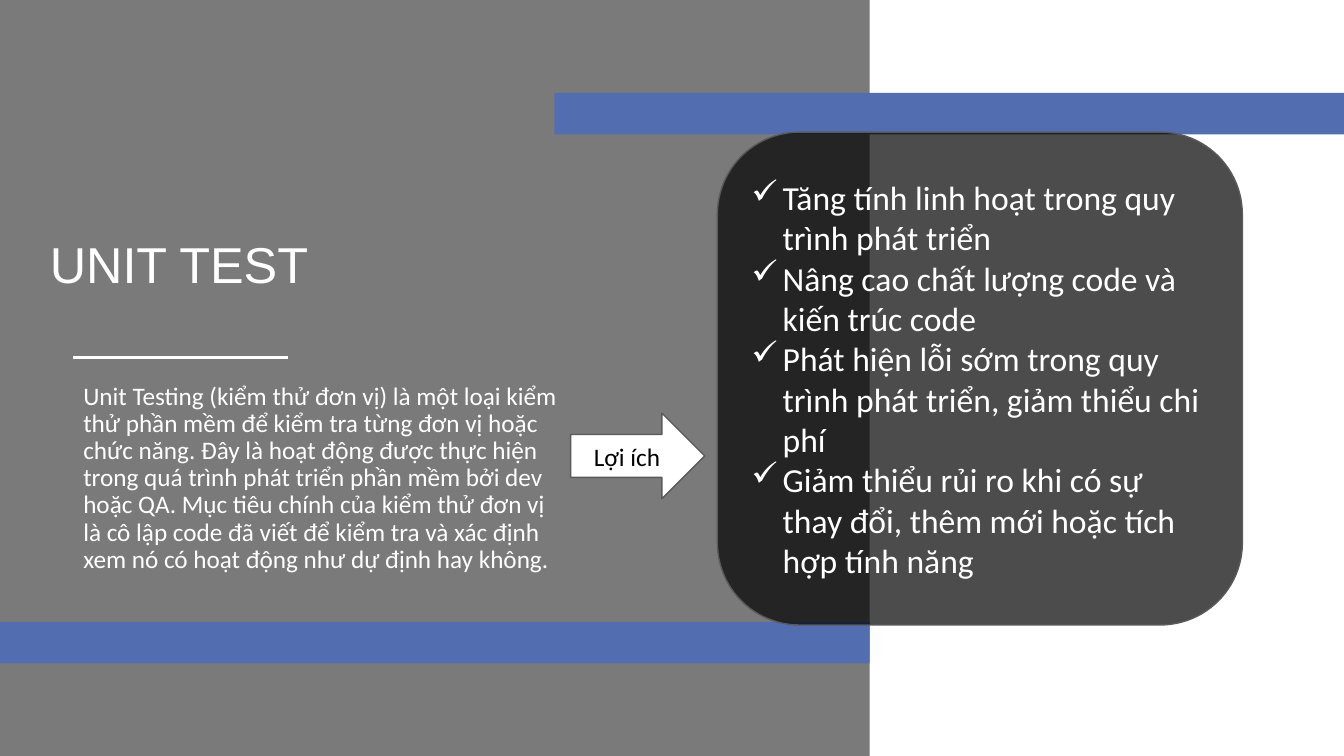
import lxml.etree
import pptx
import pptx.dml.color
import pptx.enum.shapes
import pptx.enum.text
import pptx.oxml.ns
import pptx.util

Cm = pptx.util.Cm
Pt = pptx.util.Pt
RGBColor = pptx.dml.color.RGBColor
Shape = pptx.enum.shapes.MSO_SHAPE
Align = pptx.enum.text.PP_ALIGN
Anchor = pptx.enum.text.MSO_ANCHOR
qn = pptx.oxml.ns.qn

WHITE = RGBColor(0xFF, 0xFF, 0xFF)
BLACK = RGBColor(0x00, 0x00, 0x00)
GRAY = RGBColor(0x7A, 0x7A, 0x7A)
BLUE = RGBColor(0x52, 0x6D, 0xB0)
EDGE = RGBColor(0x5A, 0x5A, 0x5A)

WIDE, HIGH = 33.87, 19.05
PANEL = 21.92

ABOUT = (
    "Unit Testing (kiểm thử đơn vị) là một loại kiểm thử phần mềm để kiểm tra "
    "từng đơn vị hoặc chức năng. Đây là hoạt động được thực hiện trong quá trình "
    "phát triển phần mềm bởi dev hoặc QA. Mục tiêu chính của kiểm thử đơn vị là "
    "cô lập code đã viết để kiểm tra và xác định xem nó có hoạt động như dự định "
    "hay không."
)
GAINS = [
    "Tăng tính linh hoạt trong quy trình phát triển",
    "Nâng cao chất lượng code và kiến trúc code",
    "Phát hiện lỗi sớm trong quy trình phát triển, giảm thiểu chi phí",
    "Giảm thiểu rủi ro khi có sự thay đổi, thêm mới hoặc tích hợp tính năng",
]


class Deck:
    """Hold the text style and the current slide."""

    def __init__(self):
        """Start a wide deck with one title-only slide."""
        self.file = pptx.Presentation()
        self.file.slide_width = Cm(WIDE)
        self.file.slide_height = Cm(HIGH)
        self.slide = self.file.slides.add_slide(self.file.slide_layouts[5])
        self.font = "Calibri"

    def label(self, shape, lines, size, color, align, face=None, mark=None, space=1.0):
        """Fill a shape with styled paragraphs."""
        frame = shape.text_frame
        frame.word_wrap = True
        frame.vertical_anchor = Anchor.MIDDLE
        frame.text = "\n".join(lines)
        for para in frame.paragraphs:
            if mark:
                props = para._p.get_or_add_pPr()
                props.set("marL", str(Cm(0.79)))
                props.set("indent", str(-Cm(0.79)))
                lxml.etree.SubElement(props, qn("a:buChar")).set("char", mark)
            para.alignment = align
            para.line_spacing = space
            para.space_before = Pt(0)
            for run in para.runs:
                run.font.name = face or self.font
                run.font.size = Pt(size)
                run.font.color.rgb = color

    def shape(self, kind, left, top, width, height, fill, edge=None, alpha=None):
        """Add a preset shape."""
        item = self.slide.shapes.add_shape(kind, Cm(left), Cm(top), Cm(width), Cm(height))
        item.shadow.inherit = False
        item.fill.solid()
        item.fill.fore_color.rgb = fill
        if alpha:
            color = item._element.spPr.find(qn("a:solidFill") + "/" + qn("a:srgbClr"))
            lxml.etree.SubElement(color, qn("a:alpha")).set("val", str(alpha * 1000))
        if edge:
            item.line.color.rgb = edge
            item.line.width = Pt(1)
        else:
            item.line.fill.background()
        return item

    def title(self, text, left, top, width, height):
        """Place the title in front of the shapes drawn so far."""
        item = self.slide.shapes.title
        item._element.getparent().append(item._element)
        item.left, item.top = Cm(left), Cm(top)
        item.width, item.height = Cm(width), Cm(height)
        self.label(item, [text], 36, WHITE, Align.LEFT, face="Arial")

    def text(self, text, left, top, width, height):
        """Add a box of running text."""
        item = self.slide.shapes.add_textbox(Cm(left), Cm(top), Cm(width), Cm(height))
        self.label(item, [text], 18, WHITE, Align.LEFT, space=0.9)

    def rule(self, left, right, top):
        """Add a level white line."""
        item = self.slide.shapes.add_connector(
            pptx.enum.shapes.MSO_CONNECTOR.STRAIGHT, Cm(left), Cm(top), Cm(right), Cm(top)
        )
        item.line.color.rgb = WHITE
        item.line.width = Pt(2.25)
        lxml.etree.SubElement(item._element.spPr, qn("a:effectLst"))


def main():
    """Build the unit test slide."""
    deck = Deck()
    deck.shape(Shape.RECTANGLE, 0, 0, PANEL, HIGH, GRAY)
    deck.shape(Shape.RECTANGLE, 0, 15.67, PANEL, 1.05, BLUE)
    deck.shape(Shape.RECTANGLE, 13.97, 2.34, WIDE - 13.97, 1.05, BLUE)
    deck.text(ABOUT, 1.85, 11.02, 12.52, 2.08)
    deck.title("UNIT TEST", 1, 4.45, 15.5, 4.37)
    deck.rule(1.85, 7.26, 9)
    arrow = deck.shape(Shape.RIGHT_ARROW, 14.38, 10.41, 3.38, 2.16, WHITE, EDGE)
    deck.label(arrow, ["Lợi ích"], 18, BLACK, Align.CENTER)
    card = deck.shape(Shape.ROUNDED_RECTANGLE, 18.08, 3.33, 13.23, 12.42, BLACK, EDGE, 70)
    deck.label(card, GAINS, 24, WHITE, Align.LEFT, mark="✓")
    deck.file.save("out.pptx")


if __name__ == "__main__":
    main()
